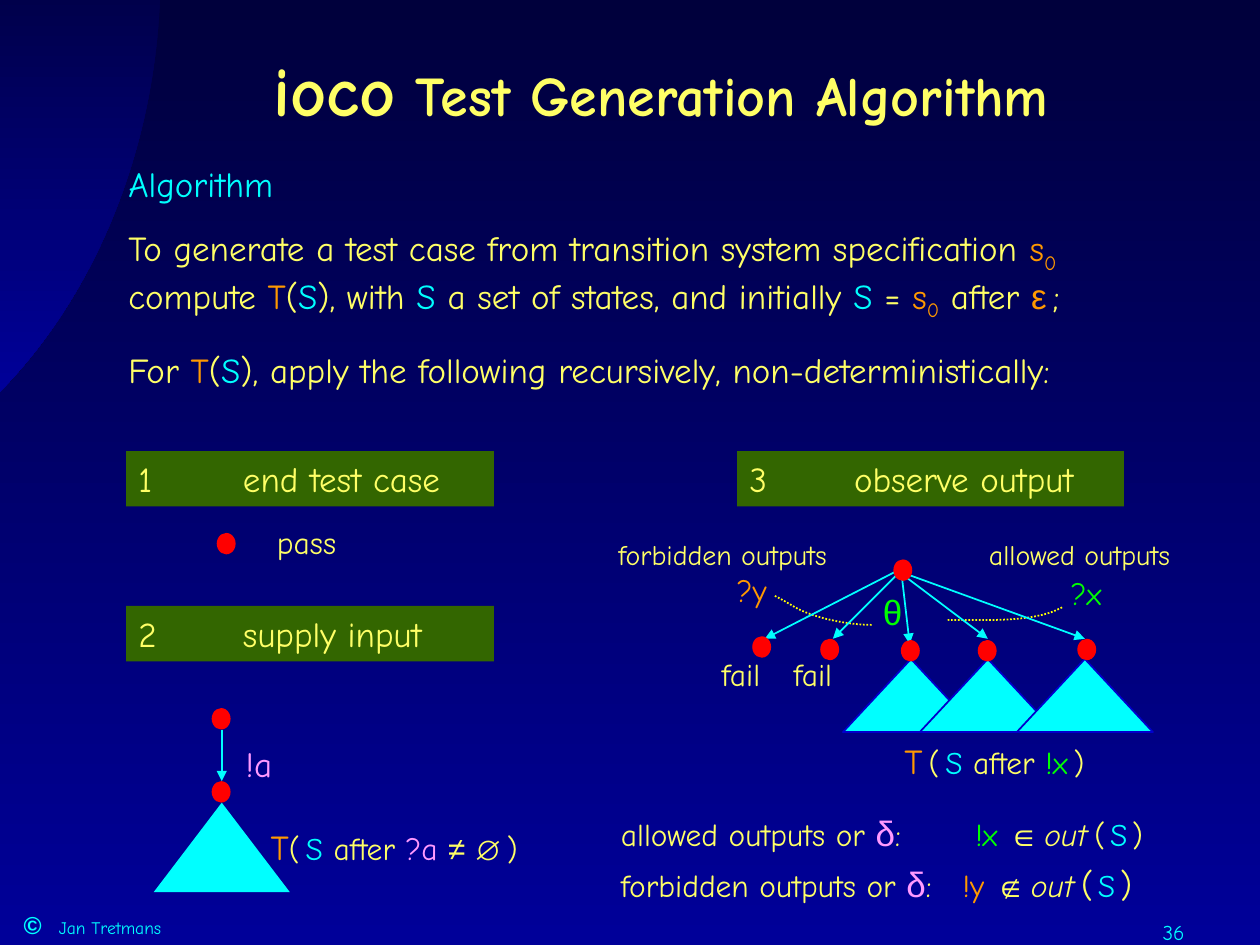
"""Build the ioco test generation algorithm slide."""
from lxml.etree import SubElement
from pptx import Presentation
from pptx.dml.color import RGBColor
from pptx.enum.dml import MSO_LINE
from pptx.enum.shapes import MSO_CONNECTOR, MSO_SHAPE
from pptx.enum.text import MSO_ANCHOR, PP_ALIGN
from pptx.oxml.ns import qn
from pptx.util import Inches, Pt

YELLOW = RGBColor(0xFF, 0xFF, 0x66)
CYAN = RGBColor(0x00, 0xFF, 0xFF)
ORANGE = RGBColor(0xFF, 0x99, 0x00)
PINK = RGBColor(0xFF, 0x99, 0xFF)
GREEN = RGBColor(0x00, 0xFF, 0x00)
RED = RGBColor(0xFF, 0x00, 0x00)
OLIVE = RGBColor(0x33, 0x66, 0x00)
BLUE = RGBColor(0x00, 0x00, 0xCC)
DOTTED_YELLOW = RGBColor(0xFF, 0xFF, 0x00)
NIGHT = RGBColor(0x00, 0x00, 0x3C)
DUSK = RGBColor(0x00, 0x00, 0x47)
NAVY = RGBColor(0x00, 0x00, 0x99)

deck = Presentation()
deck.slide_width, deck.slide_height = Inches(10), Inches(7.5)
CELL = deck.slide_width // 100
slide = deck.slides.add_slide(deck.slide_layouts[6])
shapes = slide.shapes


def cells(*counts):
    return [round(count * CELL) for count in counts]


def write(holder, size, *runs, color=YELLOW, bold=False, tab=None, **layout):
    frame = holder.text_frame
    frame.word_wrap = True
    paragraph = frame.paragraphs[0]
    if paragraph.runs:
        paragraph = frame.add_paragraph()
    if tab:
        stops = SubElement(paragraph._p.get_or_add_pPr(), qn("a:tabLst"))
        SubElement(stops, qn("a:tab"), pos=str(round(tab * CELL)), algn="l")
    for name, value in layout.items():
        setattr(paragraph, name, value)
    paragraph.font.name, paragraph.font.size = "Comic Neue", Pt(size)
    paragraph.font.color.rgb, paragraph.font.bold = color, bold
    for part in runs:
        text, tint, style = part if isinstance(part, tuple) else (part, None, {})
        if text == "\n":
            paragraph.add_line_break()
            continue
        run = paragraph.add_run()
        run.text = text
        if tint:
            run.font.color.rgb = tint
        for name, value in style.items():
            setattr(run.font, name, value)
        if style is SUBSCRIPT:
            run._r.get_or_add_rPr().set("baseline", "-25000")


PLAIN = {}
SUBSCRIPT = {"italic": False}
SYMBOL = {"name": "Arial"}
BIG_SYMBOL = {"name": "Arial", "size": Pt(20)}
ITALIC = {"italic": True}
BIG, MEDIUM = {"size": Pt(20)}, {"size": Pt(18)}
THIN_GAP = (" ", None, {"size": Pt(8)})
GAP = (" ", None, {"size": Pt(10)})
WIDE_GAP = (" ", None, {"size": Pt(12)})
TREE, STATES = ("T", ORANGE, PLAIN), ("S", CYAN, PLAIN)
BIG_TREE = ("T", ORANGE, BIG)
START = [("s", ORANGE, PLAIN), ("0", ORANGE, SUBSCRIPT)]

backdrop = slide.background.fill
backdrop.gradient()
backdrop.gradient_angle = 270
for stop, color in zip(backdrop.gradient_stops, (NIGHT, NAVY)):
    stop.color.rgb = color

curves = [
    [(-0.1, 31.2), (7.6, 23.4), (12.2, 12), (12.7, -0.1)],
    [(75.2, 49.2), (77.3, 49.2), (79.6, 49.3), (81.7, 49),
     (82.3, 48.9), (82.8, 48.8), (83.4, 48.6),
     (83.7, 48.5), (84.3, 48.2), (84.3, 48.2)],
    [(61.5, 47.3), (62.1, 47.6), (62.6, 47.9), (63.1, 48.2),
     (64.7, 49.1), (67.4, 49.6), (69.2, 49.6)],
]
for curve in curves:
    is_corner = curve is curves[0]
    knots = [cells(*knot) for knot in curve + [(-23.4, -2)] * is_corner]
    builder = shapes.build_freeform(*knots[0])
    builder.add_line_segments(knots[1:], close=is_corner)
    outline = builder.convert_to_shape()
    contour = next(outline._element.iter(qn("a:path")))
    straights = contour.findall(qn("a:lnTo"))
    for first in range(0, len(curve) - 1, 3):
        bend = contour.makeelement(qn("a:cubicBezTo"))
        straights[first].addprevious(bend)
        for straight in straights[first:first + 3]:
            bend.append(straight[0])
            contour.remove(straight)
    outline.shadow.inherit = False
    if is_corner:
        outline.fill.gradient()
        outline.fill.gradient_angle = 270
        for stop, color in zip(outline.fill.gradient_stops, (DUSK, NAVY)):
            stop.color.rgb = color
        outline.line.fill.background()
    else:
        outline.fill.background()
        outline.line.color.rgb, outline.line.width = DOTTED_YELLOW, Pt(1)
        outline.line.dash_style = MSO_LINE.ROUND_DOT

for x1, y1, x2, y2 in [
    (17.6, 57.9, 17.6, 62), (71.6, 45.1, 60.7, 50.7), (71.5, 45.3, 66.1, 50.7),
    (71.5, 45.1, 72.2, 51.1), (71.5, 45.5, 78.4, 50.7), (71.5, 45.4, 86.1, 50.7),
]:
    arrow = shapes.add_connector(MSO_CONNECTOR.STRAIGHT, *cells(x1, y1, x2, y2))
    arrow.line.color.rgb, arrow.line.width = CYAN, Pt(1)
    SubElement(arrow._element.spPr.find(qn("a:ln")), qn("a:tailEnd"), type="triangle")
    SubElement(arrow._element.spPr, qn("a:effectLst"))

subtrees = [(12.2, 63.7, 7.1, None)] + [(x, 52.3, 5.8, BLUE) for x in (66.9, 73, 80.7)]
for x, y, height, edge in subtrees:
    subtree = shapes.add_shape(MSO_SHAPE.ISOSCELES_TRIANGLE, *cells(x, y, 10.8, height))
    subtree.shadow.inherit = False
    subtree.fill.solid()
    subtree.fill.fore_color.rgb = CYAN
    if edge:
        subtree.line.color.rgb, subtree.line.width = edge, Pt(1)
    else:
        subtree.line.fill.background()

for x, y in [(17.2, 42.3), (16.8, 56.2), (16.8, 62), (59.7, 50.5), (65.1, 50.7),
             (70.9, 44.4), (71.5, 50.8), (85.5, 50.7), (77.6, 50.8)]:
    state = shapes.add_shape(MSO_SHAPE.OVAL, *cells(x, y, 1.5, 1.7))
    state.shadow.inherit = False
    state.fill.solid()
    state.fill.fore_color.rgb = RED
    state.line.fill.background()

for x, y, width, heading in [(10, 35.8, 29.2, "1\tend test case"),
                             (10, 48.1, 29.2, "2\tsupply input"),
                             (58.5, 35.8, 30.7, "3\tobserve output")]:
    banner = shapes.add_shape(MSO_SHAPE.RECTANGLE, *cells(x, y, width, 4.4))
    banner.shadow.inherit = False
    banner.fill.solid()
    banner.fill.fore_color.rgb = OLIVE
    banner.line.fill.background()
    write(banner, 20, heading, tab=8.3, alignment=PP_ALIGN.LEFT)

title = shapes.add_textbox(*cells(10, 0.8, 85, 12.5))
title.text_frame.vertical_anchor = MSO_ANCHOR.MIDDLE
write(title, 32, ("ioco", None, {"size": Pt(40)}), " Test Generation Algorithm",
      bold=True, alignment=PP_ALIGN.CENTER)

intro = shapes.add_textbox(*cells(9.2, 12.4, 90.8, 13.7))
write(intro, 20, "Algorithm", color=CYAN)
write(intro, 20, "To generate a test case from transition system specification ", *START,
      "\n", "compute ", TREE, "(", STATES, "), with ", STATES,
      " a set of states, and initially ", STATES, " = ", *START, " after ",
      ("ε", ORANGE, SYMBOL), GAP, ";", space_before=Pt(12.5))

rules = shapes.add_textbox(*cells(48.3, 64.8, 47.1, 7.4))
for kind, symbol, tint, relation, bracket, tab, before in [
    ("allowed", "!x ", GREEN, "∈", MEDIUM, 28.1, 0),
    ("forbidden", "!y ", ORANGE, "∉", BIG, 27.1, 12.5),
]:
    write(rules, 18, kind + " outputs or ", ("δ", PINK, BIG_SYMBOL), ":\t",
          (symbol, tint, PLAIN), (relation, None, SYMBOL), THIN_GAP,
          ("out", None, ITALIC), WIDE_GAP, ("(", None, bracket), THIN_GAP, STATES,
          THIN_GAP, (")", None, bracket), tab=tab, line_spacing=0.7,
          space_before=Pt(before))

for area, size, color, runs in [
    ((9.2, 27.2, 90, 4.4), 20, YELLOW,
     ["For ", TREE, "(", STATES,
      "), apply the following recursively, non-deterministically:"]),
    ((21, 41, 10, 4), 18, YELLOW, ["pass"]),
    ((18.5, 58.4, 4.3, 4.4), 20, PINK, ["!a"]),
    ((20.5, 65, 23.6, 4.4), 18, YELLOW,
     [BIG_TREE, "(", GAP, STATES, " after ", ("?a ", PINK, PLAIN), ("≠ ", None, SYMBOL),
      ("∅", None, {"name": "Arial", "size": Pt(16), "bold": True}), THIN_GAP, ")"]),
    ((70.8, 58.2, 19.9, 4.4), 18, YELLOW,
     [BIG_TREE, GAP, "(", GAP, STATES, " after", (" !x", GREEN, PLAIN), GAP, ")"]),
    ((56.3, 51.5, 6, 4), 18, YELLOW, ["fail"]),
    ((62, 51.5, 6.9, 4), 18, YELLOW, ["fail"]),
    ((48.1, 42.2, 21.5, 3.7), 16, YELLOW, ["forbidden outputs"]),
    ((77.5, 42.2, 20.8, 3.7), 16, YELLOW, ["allowed outputs"]),
    ((57.5, 44.8, 5.8, 4), 18, ORANGE, ["?y"]),
    ((84, 45.1, 6.3, 4), 18, GREEN, ["?x"]),
]:
    write(shapes.add_textbox(*cells(*area)), size, *runs, color=color)

theta = shapes.add_textbox(*cells(69.1, 47, 3.4, 3.7))
theta.text_frame.vertical_anchor = MSO_ANCHOR.MIDDLE
write(theta, 20, ("θ", None, SYMBOL), color=GREEN, alignment=PP_ALIGN.CENTER, line_spacing=0.8)

credit = shapes.add_textbox(*cells(0.9, 71.7, 49, 3.3))
write(credit, 10, ("©", None, {"name": "Arial", "size": Pt(14), "bold": True}),
      "\tJan Tretmans", color=CYAN, tab=2.8)
page_number = shapes.add_textbox(*cells(85.8, 72.5, 9.2, 2.5))
write(page_number, 12, "36", color=CYAN, alignment=PP_ALIGN.RIGHT)

deck.save("out.pptx")
